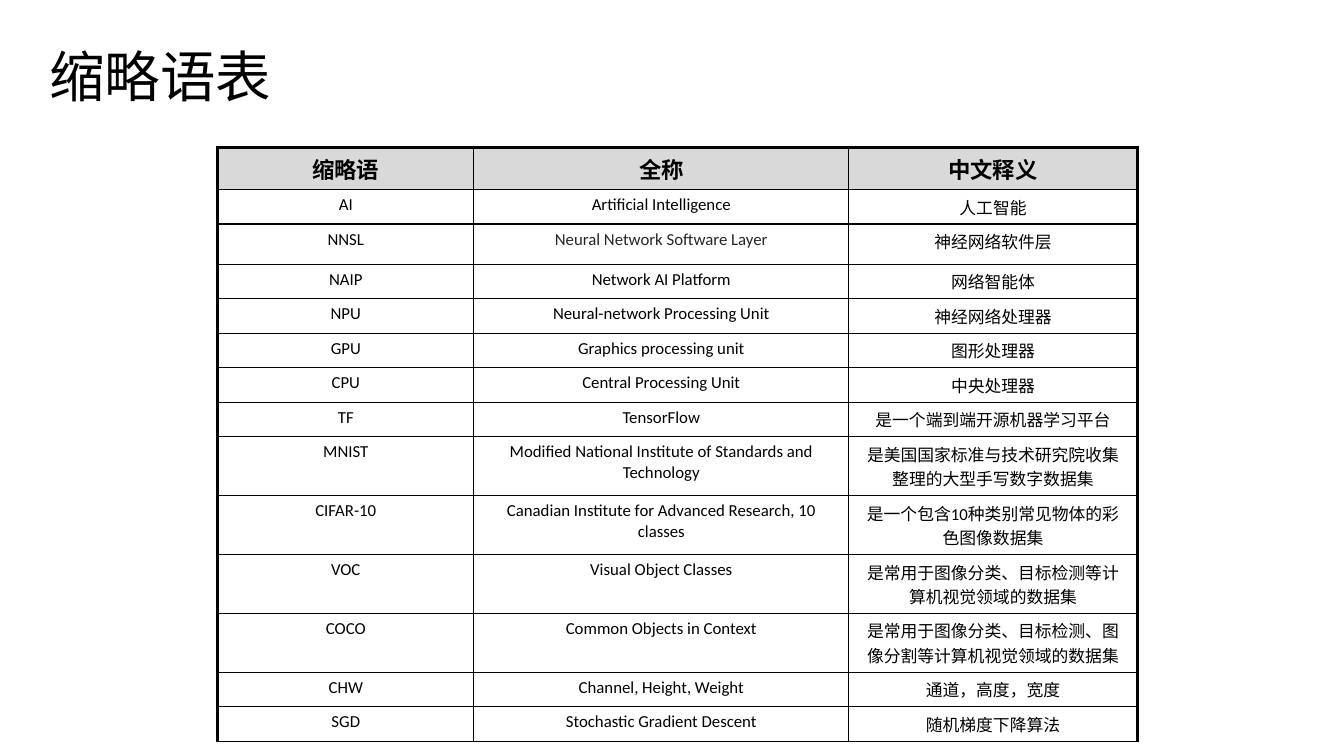
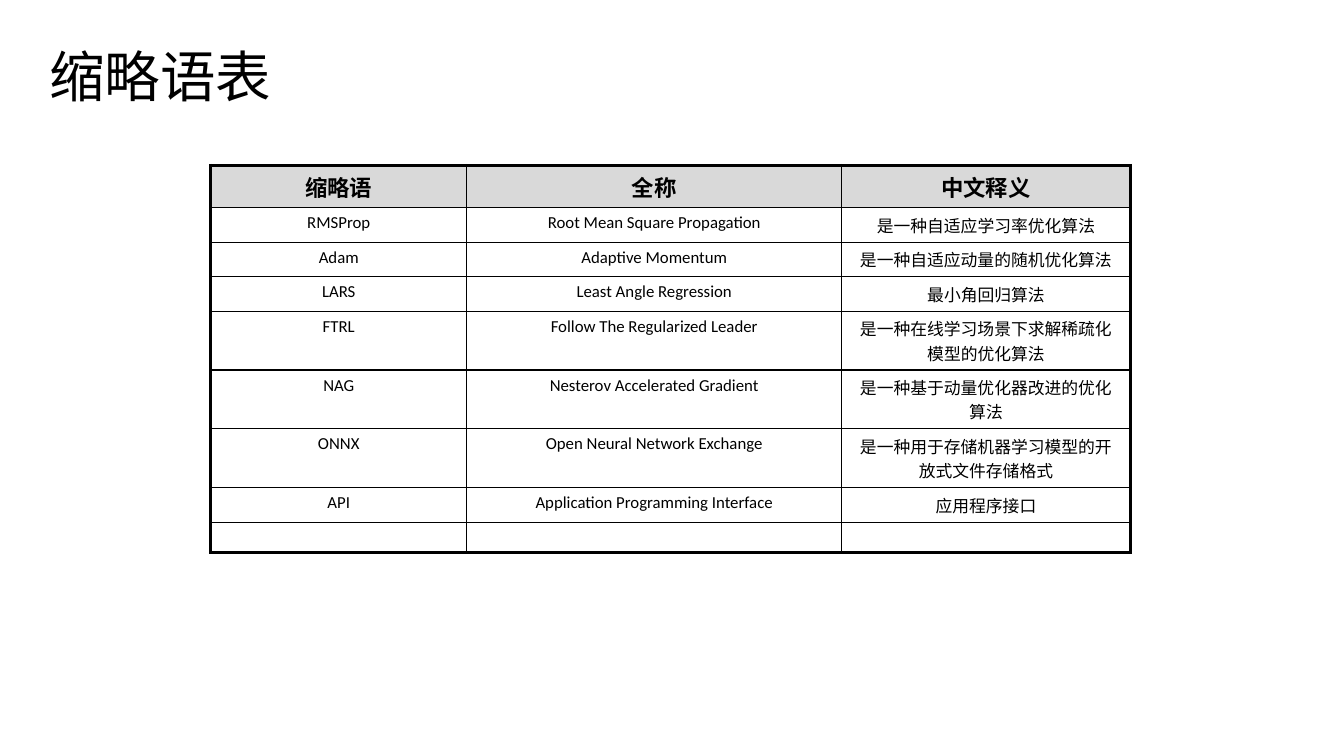
import pptx
import pptx.dml.color
import pptx.enum.text
import pptx.oxml.ns
import pptx.util
from lxml import etree

Inches = pptx.util.Inches
Pt = pptx.util.Pt
qn = pptx.oxml.ns.qn

COLORS = {"text": "000000", "soft": "262626", "border": "000000",
          "header": "D9D9D9", "background": "FFFFFF"}
LATIN_FONT = "Calibri"
CHINESE_FONT = "Noto Sans CJK SC"
TITLE = "缩略语表"
COLUMN_WIDTHS = (2.54, 3.72, 2.86)
ROW_HEIGHT = 0.23
THIN, THICK = 1, 2.25

HEADER = ("缩略语", "全称", "中文释义")
BASIC_TERMS = (
    ("AI", "Artificial Intelligence", "人工智能"),
    ("NNSL", "Neural Network Software Layer", "神经网络软件层"),
    ("NAIP", "Network AI Platform", "网络智能体"),
    ("NPU", "Neural-network Processing Unit", "神经网络处理器"),
    ("GPU", "Graphics processing unit", "图形处理器"),
    ("CPU", "Central Processing Unit", "中央处理器"),
    ("TF", "TensorFlow", "是一个端到端开源机器学习平台"),
    ("MNIST", "Modified National Institute of Standards and Technology",
     "是美国国家标准与技术研究院收集整理的大型手写数字数据集"),
    ("CIFAR-10", "Canadian Institute for Advanced Research, 10 classes",
     "是一个包含10种类别常见物体的彩色图像数据集"),
    ("VOC", "Visual Object Classes", "是常用于图像分类、目标检测等计算机视觉领域的数据集"),
    ("COCO", "Common Objects in Context",
     "是常用于图像分类、目标检测、图像分割等计算机视觉领域的数据集"),
    ("CHW", "Channel, Height, Weight", "通道，高度，宽度"),
    ("SGD", "Stochastic Gradient Descent", "随机梯度下降算法"),
)
ALGORITHM_TERMS = (
    ("RMSProp", "Root Mean Square Propagation", "是一种自适应学习率优化算法"),
    ("Adam", "Adaptive Momentum", "是一种自适应动量的随机优化算法"),
    ("LARS", "Least Angle Regression", "最小角回归算法"),
    ("FTRL", "Follow The Regularized Leader", "是一种在线学习场景下求解稀疏化模型的优化算法"),
    ("NAG", "Nesterov Accelerated Gradient", "是一种基于动量优化器改进的优化算法"),
    ("ONNX", "Open Neural Network Exchange", "是一种用于存储机器学习模型的开放式文件存储格式"),
    ("API", "Application Programming Interface", "应用程序接口"),
    ("", "", ""),
)


def rgb(name):
    return pptx.dml.color.RGBColor.from_string(COLORS[name])


class GlossaryDeck:
    def __init__(self):
        self.presentation = pptx.Presentation()
        self.presentation.slide_width = Inches(13.33)
        self.presentation.slide_height = Inches(7.5)
        background = self.presentation.slide_master.background.fill
        background.solid()
        background.fore_color.rgb = rgb("background")
        self.slide = None

    def add_slide(self, title):
        layout = self.presentation.slide_layouts.get_by_name("Title Only")
        self.slide = self.presentation.slides.add_slide(layout)
        self.add_title(title)

    def add_title(self, text):
        shape = self.slide.shapes.title
        shape.left, shape.top = Inches(0.49), Inches(0.52)
        shape.width, shape.height = Inches(12.35), Inches(0.54)
        frame = shape.text_frame
        frame.margin_left = frame.margin_right = 0
        frame.margin_top = frame.margin_bottom = 0
        frame.word_wrap = True
        frame.auto_size = pptx.enum.text.MSO_AUTO_SIZE.NONE
        frame.vertical_anchor = pptx.enum.text.MSO_ANCHOR.MIDDLE
        paragraph = frame.paragraphs[0]
        paragraph.alignment = pptx.enum.text.PP_ALIGN.LEFT
        paragraph.line_spacing = 0.9
        self.add_run(paragraph, text, 39.6, font=CHINESE_FONT)

    def add_run(self, paragraph, text, size, bold=False, color="text", font=LATIN_FONT):
        run = paragraph.add_run()
        run.text = text
        run.font.name = font
        run.font.size = Pt(size)
        run.font.bold = bold
        run.font.color.rgb = rgb(color)
        latin = run.font._element.find(qn("a:latin"))
        east_asian = etree.Element(qn("a:ea"), typeface=CHINESE_FONT)
        latin.addnext(east_asian)

    def add_table(self, left, top, terms, row_heights=None, soft_cells=(), bottom=THIN):
        """Draw the header and terms; row_heights maps row numbers to taller rows."""
        rows = (HEADER,) + terms
        heights = [(row_heights or {}).get(index, ROW_HEIGHT) for index in range(len(rows))]
        frame = self.slide.shapes.add_table(
            len(rows), len(HEADER), Inches(left), Inches(top),
            Inches(sum(COLUMN_WIDTHS)), Inches(sum(heights)))
        table = frame.table
        table.first_row = table.horz_banding = False
        for column, width in zip(table.columns, COLUMN_WIDTHS):
            column.width = Inches(width)
        for row_index, texts in enumerate(rows):
            table.rows[row_index].height = Inches(heights[row_index])
            for column_index, text in enumerate(texts):
                cell = table.cell(row_index, column_index)
                is_header = row_index == 0
                self.set_borders(
                    cell,
                    left=THICK if column_index == 0 else THIN,
                    right=THICK if column_index == len(HEADER) - 1 else THIN,
                    top=THICK if is_header else THIN,
                    bottom=bottom if row_index == len(rows) - 1 else THIN)
                color = "soft" if (row_index, column_index) in soft_cells else "text"
                self.fill_cell(cell, text, is_header, color)

    def fill_cell(self, cell, text, is_header, color):
        if is_header:
            cell.fill.solid()
            cell.fill.fore_color.rgb = rgb("header")
        else:
            cell.fill.background()
        paragraph = cell.text_frame.paragraphs[0]
        paragraph.alignment = pptx.enum.text.PP_ALIGN.CENTER
        size = 16 if is_header else 12
        if text:
            self.add_run(paragraph, text, size, is_header, color)
        else:
            etree.SubElement(paragraph._p, qn("a:endParaRPr"), sz=str(size * 100))

    def set_borders(self, cell, left, right, top, bottom):
        properties = cell._tc.get_or_add_tcPr()
        for side, width in (("L", left), ("R", right), ("T", top), ("B", bottom)):
            line = etree.SubElement(properties, qn("a:ln" + side), w=str(Pt(width)))
            fill = etree.SubElement(line, qn("a:solidFill"))
            etree.SubElement(fill, qn("a:srgbClr"), val=COLORS["border"])


def main():
    deck = GlossaryDeck()
    deck.add_slide(TITLE)
    deck.add_table(2.16, 1.46, BASIC_TERMS, row_heights={2: 0.4}, soft_cells={(2, 1)})
    deck.add_slide(TITLE)
    deck.add_table(2.09, 1.64, ALGORITHM_TERMS, bottom=THICK)
    deck.presentation.save("out.pptx")


if __name__ == "__main__":
    main()
